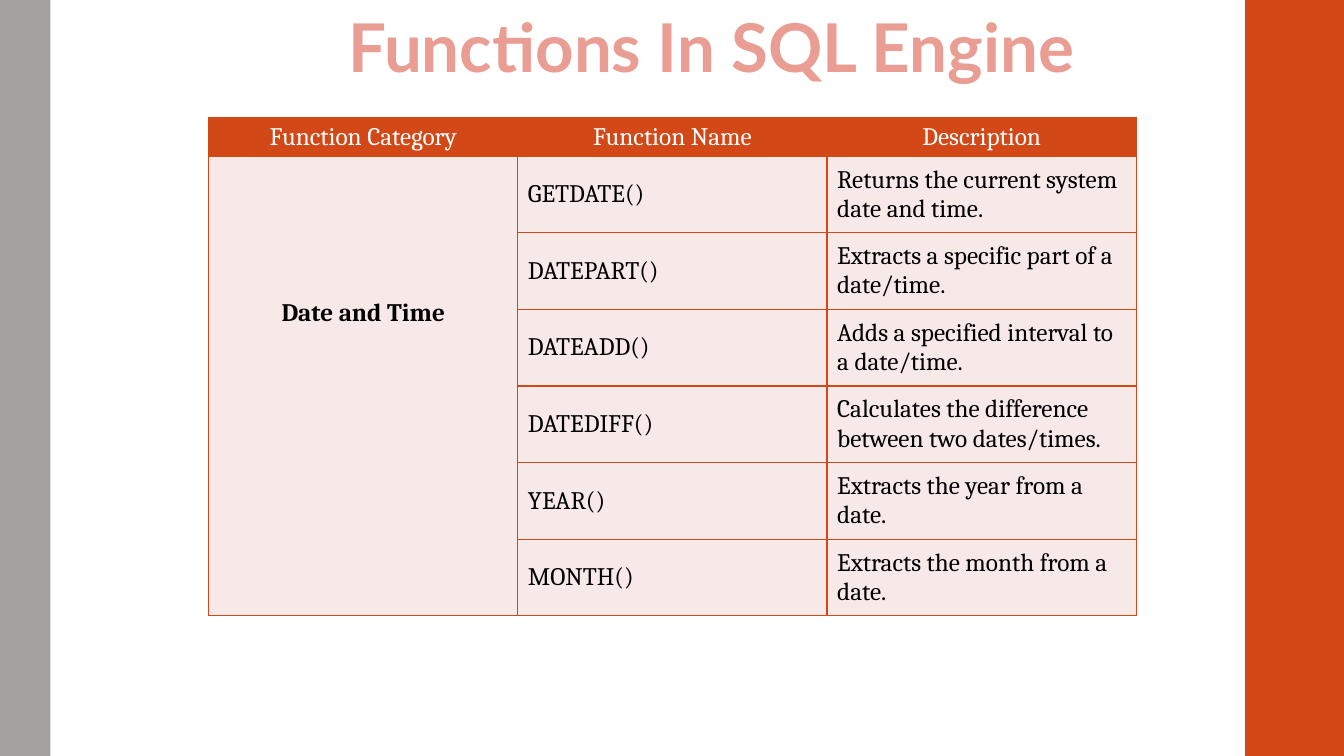
from dataclasses import dataclass

from lxml.etree import SubElement
from pptx import Presentation
from pptx.dml.color import RGBColor as RGB
from pptx.enum.shapes import MSO_SHAPE as SHAPE
from pptx.enum.text import MSO_ANCHOR as ANCHOR, PP_ALIGN as ALIGN
from pptx.oxml.ns import qn
from pptx.util import Inches, Pt


@dataclass(frozen=True)
class Theme:
    accent: str = "D34817"
    gray: str = "A6A1A1"
    pale: str = "F7E9E8"
    title: str = "E99D93"
    white: str = "FFFFFF"
    black: str = "000000"
    title_font: str = "Lato"
    body_font: str = "Cambria"
    title_size: int = 48
    body_size: int = 18
    border_width: int = 1


THEME = Theme()
SLIDE_W, SLIDE_H = 13.33, 7.5
HEADERS = ["Function Category", "Function Name", "Description"]
CATEGORY = "Date and Time"
FUNCTIONS = [
    ("GETDATE()", "Returns the current system date and time."),
    ("DATEPART()", "Extracts a specific part of a date/time."),
    ("DATEADD()", "Adds a specified interval to a date/time."),
    ("DATEDIFF()", "Calculates the difference between two dates/times."),
    ("YEAR()", "Extracts the year from a date."),
    ("MONTH()", "Extracts the month from a date."),
]


def write(tf, text, font=THEME.body_font, size=THEME.body_size,
          color=THEME.black, bold=False, align=ALIGN.LEFT):
    tf.word_wrap = True
    p = tf.paragraphs[0]
    p.alignment = align
    r = p.add_run()
    r.text = text
    r.font.name = font
    r.font.size = Pt(size)
    r.font.bold = bold
    r.font.color.rgb = RGB.from_string(color)


def add_band(s, left, width, color):
    """Draw a side band over the full slide height."""
    sp = s.shapes.add_shape(SHAPE.RECTANGLE, Inches(left), 0,
                            Inches(width), Inches(SLIDE_H))
    sp.shadow.inherit = False
    sp.fill.solid()
    sp.fill.fore_color.rgb = RGB.from_string(color)
    sp.line.fill.background()


def add_title(s, left, top, width, height):
    box = s.shapes.add_textbox(*map(Inches, (left, top, width, height)))
    write(box.text_frame, "Functions In SQL Engine", font=THEME.title_font,
          size=THEME.title_size, color=THEME.title, bold=True,
          align=ALIGN.CENTER)


def style_cell(cell, fill):
    """Give the cell its borders, fill and middle anchor."""
    tc_pr = cell._tc.get_or_add_tcPr()
    for side in ("a:lnL", "a:lnR", "a:lnT", "a:lnB"):
        ln = SubElement(tc_pr, qn(side), w=str(Pt(THEME.border_width)))
        line_fill = SubElement(ln, qn("a:solidFill"))
        SubElement(line_fill, qn("a:srgbClr"), val=THEME.accent)
    cell.fill.solid()
    cell.fill.fore_color.rgb = RGB.from_string(fill)
    cell.vertical_anchor = ANCHOR.MIDDLE


def add_function_table(s, left, top, width, header_h, row_h):
    rows, cols = len(FUNCTIONS) + 1, len(HEADERS)
    height = header_h + row_h * len(FUNCTIONS)
    table = s.shapes.add_table(
        rows, cols, *map(Inches, (left, top, width, height))).table
    for col in table.columns:
        col.width = Inches(width / cols)
    for i, row in enumerate(table.rows):
        row.height = Inches(row_h if i else header_h)
        for cell in row.cells:
            style_cell(cell, THEME.pale if i else THEME.accent)

    for cell, header in zip(table.rows[0].cells, HEADERS):
        cell.margin_left = cell.margin_right = Inches(0.07)
        cell.margin_top = cell.margin_bottom = Inches(0.04)
        write(cell.text_frame, header, color=THEME.white, align=ALIGN.CENTER)

    category = table.cell(1, 0)
    category.merge(table.cell(rows - 1, 0))
    category.margin_bottom = Inches(1.5)
    write(category.text_frame, CATEGORY, bold=True, align=ALIGN.CENTER)

    for i, texts in enumerate(FUNCTIONS, 1):
        for j, text in enumerate(texts, 1):
            write(table.cell(i, j).text_frame, text)


def main():
    prs = Presentation()
    prs.slide_width, prs.slide_height = Inches(SLIDE_W), Inches(SLIDE_H)
    s = prs.slides.add_slide(prs.slide_layouts[6])
    add_band(s, 12.35, 1, THEME.accent)
    add_band(s, 0, 0.5, THEME.gray)
    add_function_table(s, 2.07, 1.17, 9.2, header_h=0.38, row_h=0.76)
    add_title(s, 3.33, 0, 7.45, 0.91)
    prs.save("out.pptx")


if __name__ == "__main__":
    main()
